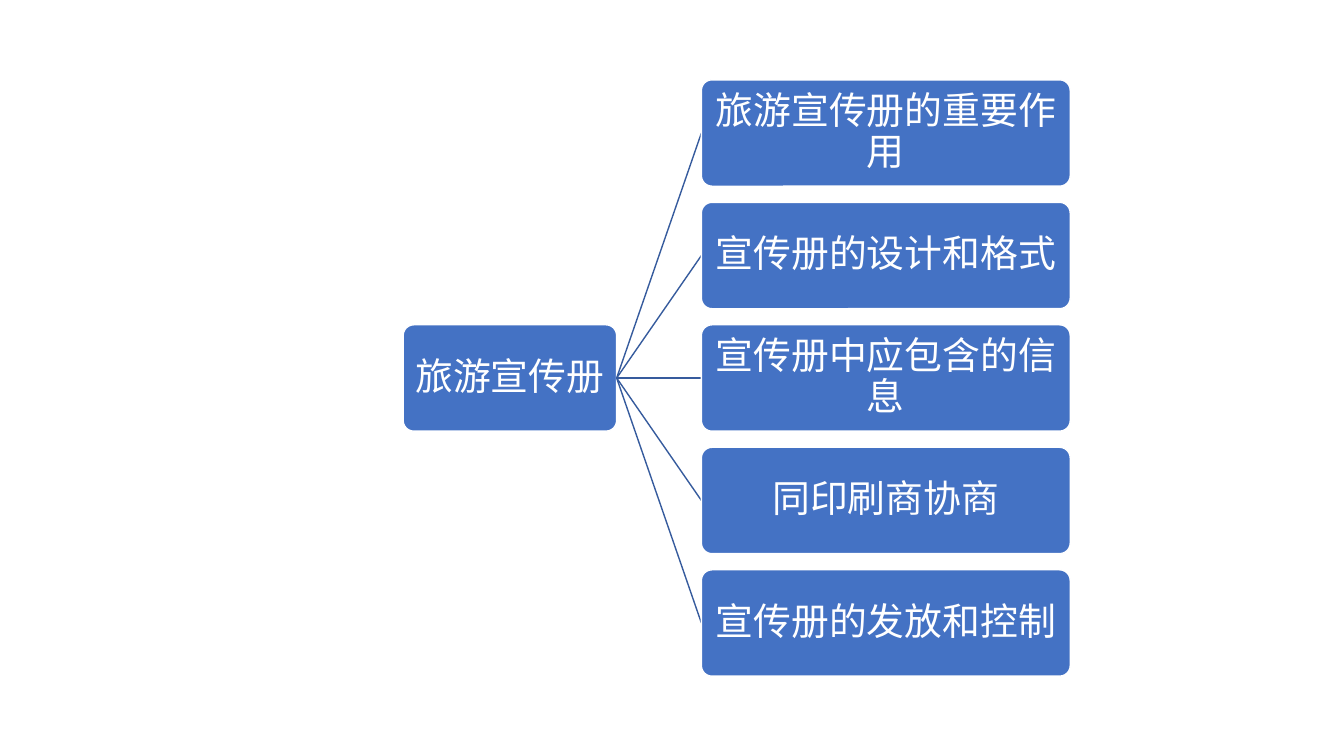
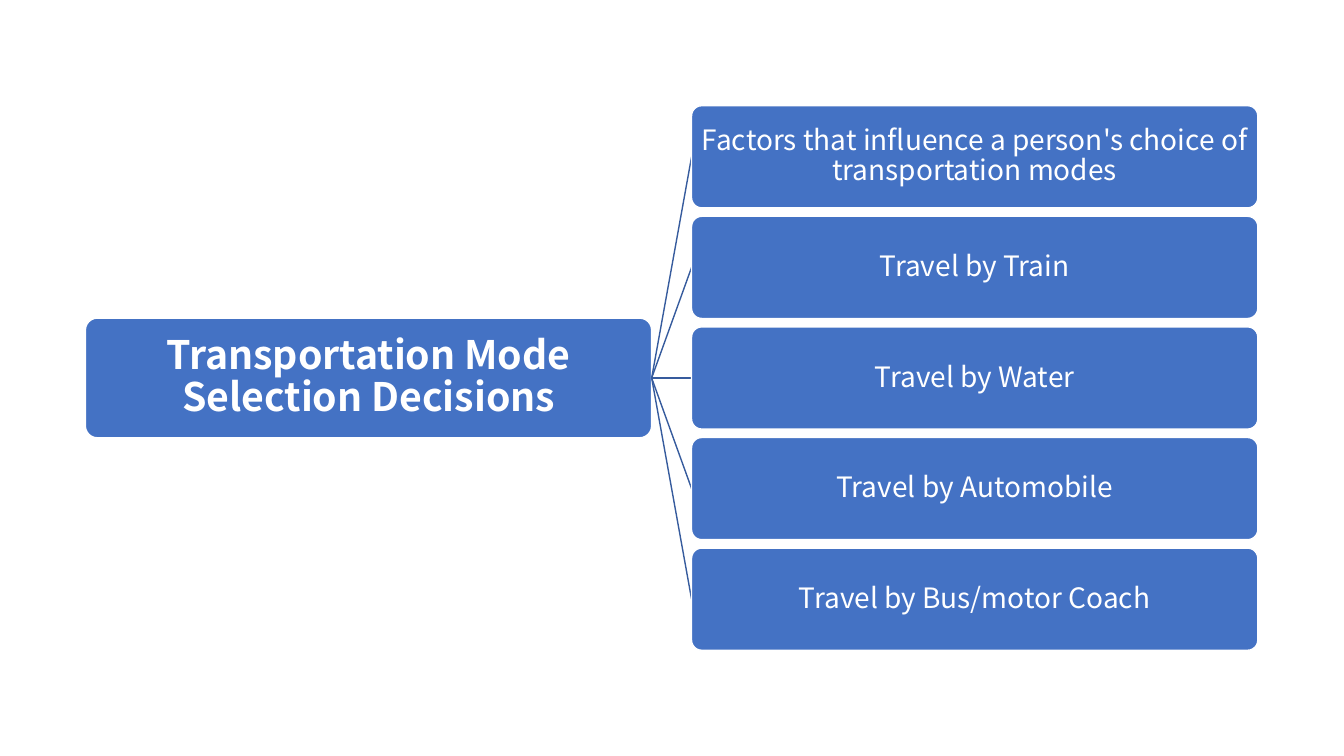
from dataclasses import dataclass

from lxml.etree import SubElement
from pptx import Presentation
from pptx.dml.color import RGBColor
from pptx.enum.shapes import MSO_CONNECTOR, MSO_SHAPE
from pptx.enum.text import MSO_ANCHOR, PP_ALIGN
from pptx.oxml.ns import qn
from pptx.util import Pt

SCALE = 6350
WIDE, HIGH = 1920, 1080
MID = HIGH // 2


def px(num):
    return int(num * SCALE)


@dataclass(frozen=True)
class Theme:
    font: str = "Noto Sans CJK SC"
    fill: RGBColor = RGBColor(0x44, 0x72, 0xC4)
    edge: RGBColor = RGBColor(0xFF, 0xFF, 0xFF)
    ink: RGBColor = RGBColor(0xFF, 0xFF, 0xFF)
    link: RGBColor = RGBColor(0x36, 0x5B, 0x9D)
    stroke: int = 1
    round: float = 0.1
    lead: float = 0.9
    large: int = 28
    normal: int = 27
    small: int = 20


def write(frame, text, *, theme, size, bold=False, inset=3):
    frame.word_wrap = True
    frame.vertical_anchor = MSO_ANCHOR.MIDDLE
    frame.margin_left = frame.margin_right = px(inset)
    frame.margin_top = frame.margin_bottom = px(inset)
    para = frame.paragraphs[0]
    para.alignment = PP_ALIGN.CENTER
    para.line_spacing = theme.lead
    run = para.add_run()
    run.text = text
    font = run.font
    font.size = Pt(size)
    font.bold = bold
    font.color.rgb = theme.ink
    font.name = theme.font
    SubElement(run._r.get_or_add_rPr(), qn("a:ea"), typeface=theme.font)


class Deck:
    def __init__(self, theme):
        self.theme = theme
        self.file = Presentation()
        self.file.slide_width = px(WIDE)
        self.file.slide_height = px(HIGH)
        self.slide = None

    def page(self):
        self.slide = self.file.slides.add_slide(self.file.slide_layouts[6])

    def box(self, text, left, mid, width, height, **style):
        theme = self.theme
        shape = self.slide.shapes.add_shape(
            MSO_SHAPE.ROUNDED_RECTANGLE,
            px(left), px(mid - height / 2), px(width), px(height))
        shape.adjustments[0] = theme.round
        shape.shadow.inherit = False
        shape.fill.solid()
        shape.fill.fore_color.rgb = theme.fill
        shape.line.color.rgb = theme.edge
        shape.line.width = Pt(theme.stroke)
        write(shape.text_frame, text, theme=theme, **style)
        return shape

    def join(self, root, leaf):
        line = self.slide.shapes.add_connector(
            MSO_CONNECTOR.STRAIGHT, 0, 0, 0, 0)
        line.begin_connect(root, 3)
        line.end_connect(leaf, 1)
        line.line.color.rgb = self.theme.link
        line.line.width = Pt(self.theme.stroke)
        SubElement(line.element.spPr, qn("a:effectLst"))
        leaf.element.addprevious(line.element)

    def tree(self, root, items, left, width, height, step, **style):
        first = MID - step * (len(items) - 1) / 2
        for row, text in enumerate(items):
            leaf = self.box(
                text, left, first + row * step, width, height, **style)
            self.join(root, leaf)

    def save(self):
        self.file.save("out.pptx")


def main():
    theme = Theme()
    deck = Deck(theme)

    deck.page()
    root = deck.box("旅游宣传册", 576, MID, 305, 152, size=theme.normal)
    topics = [
        "旅游宣传册的重要作用",
        "宣传册的设计和格式",
        "宣传册中应包含的信息",
        "同印刷商协商",
        "宣传册的发放和控制",
    ]
    deck.tree(root, topics, 1002, 527, 152, 175, size=theme.normal)

    deck.page()
    root = deck.box("Transportation Mode Selection Decisions",
                    122, MID, 809, 171, size=theme.large, bold=True)
    modes = [
        "Factors that influence a person's choice of transportation modes",
        "Travel by Train",
        "Travel by Water",
        "Travel by Automobile",
        "Travel by Bus/motor Coach",
    ]
    deck.tree(root, modes, 988, 809, 146, 158, size=theme.small, inset=2)

    deck.save()


if __name__ == "__main__":
    main()
